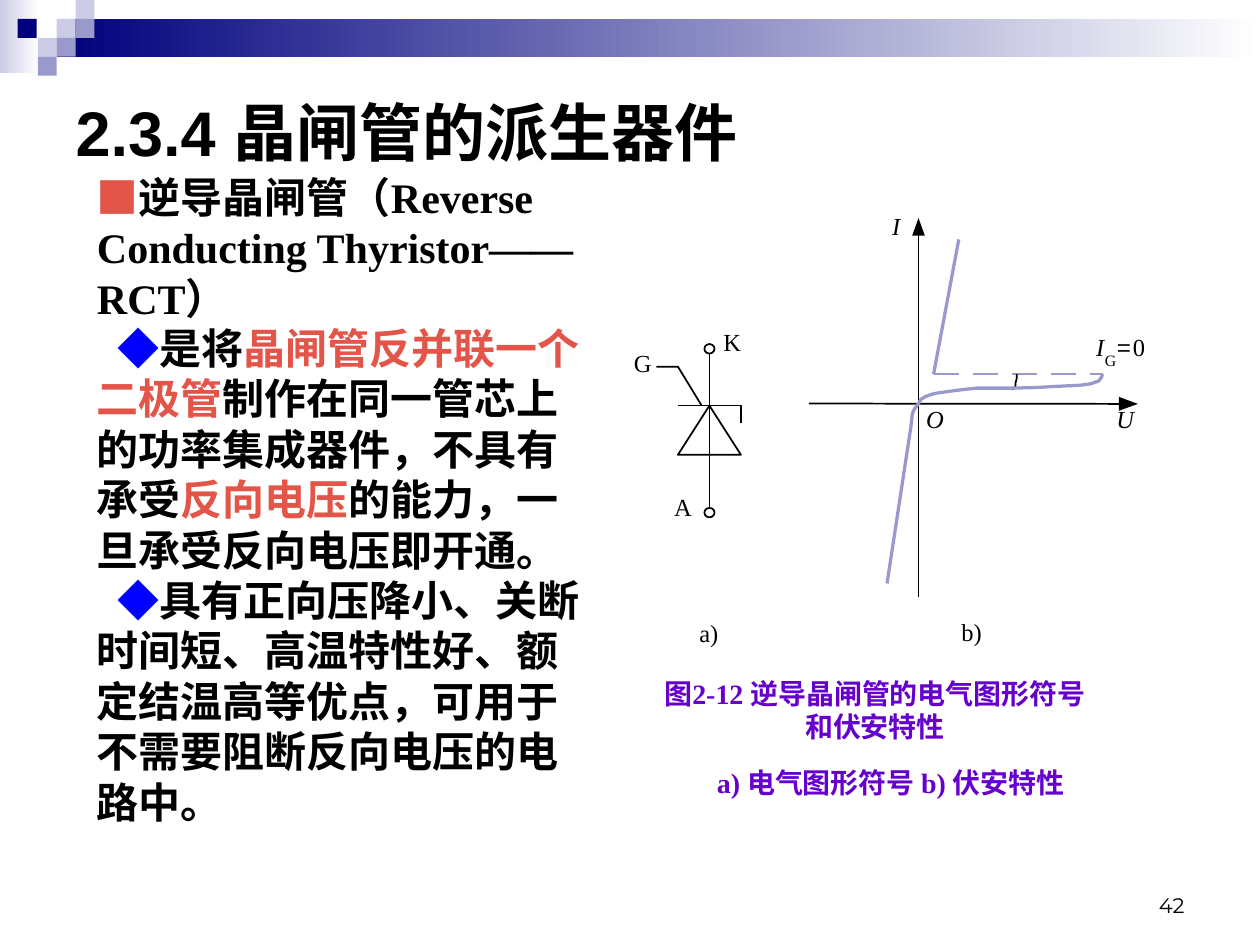
import pptx
import pptx.dml.color
import pptx.enum.shapes
import pptx.enum.text
import pptx.oxml.ns
import pptx.util

Pt = pptx.util.Pt
RGB = pptx.dml.color.RGBColor
SHAPE = pptx.enum.shapes.MSO_SHAPE
ALIGN = pptx.enum.text.PP_ALIGN
ANCHOR = pptx.enum.text.MSO_ANCHOR

BLACK = RGB(0, 0, 0)
WHITE = RGB(255, 255, 255)
NAVY = RGB(0, 0, 0x7D)
LILAC = RGB(0xCC, 0xCC, 0xE6)
PERIWINKLE = RGB(0x99, 0x99, 0xCC)
RED = RGB(0xE3, 0x54, 0x49)
BLUE = RGB(0, 0, 255)
PURPLE = RGB(0x66, 0, 0xCC)
SERIF, CJK = "Times New Roman", "Noto Sans CJK SC"

# left, top, width, height, left colour, right colour
BANDS = [(0, 0, 22.3, 41.8, LILAC, WHITE), (32.4, 10.8, 687.6, 21.6, NAVY, WHITE)]
TILE = 10.8
TILES = [(32.4, 10.8, LILAC), (43.2, 0, LILAC), (43.2, 10.8, PERIWINKLE),
         (21.6, 21.6, LILAC), (10.1, 10.8, NAVY), (32.4, 21.6, PERIWINKLE),
         (21.6, 32.4, PERIWINKLE)]

BODY = [
    (0, [("■", RED), ("逆导晶闸管（Reverse Conducting Thyristor——RCT）", BLACK)]),
    (12, [("◆", BLUE), ("是将", BLACK), ("晶闸管反并联一个二极管", RED),
          ("制作在同一管芯上的功率集成器件，不具有承受", BLACK), ("反向电压", RED),
          ("的能力，一旦承受反向电压即开通。", BLACK)]),
    (12, [("◆", BLUE),
          ("具有正向压降小、关断时间短、高温特性好、额定结温高等优点，"
           "可用于不需要阻断反向电压的电路中。", BLACK)]),
]
# text, space before, left margin
CAPTION = [("图2-12 逆导晶闸管的电气图形符号", 0, 0), ("和伏安特性", 0, 0),
           ("a) 电气图形符号 b) 伏安特性", 12.5, 18)]

# text, left, top, changes to the label font
ITALIC = {"italic": True}
LABELS = [("a)", 399.6, 355, {}), ("b)", 549.4, 354.2, {}), ("K", 413.3, 188.6, {}),
          ("G", 362.2, 200.9, {}), ("A", 385.2, 283, {}),
          ("U", 637.9, 232.6, ITALIC), ("O", 529.2, 232.6, ITALIC),
          ("I", 509.8, 122.4, ITALIC), ("I", 626.4, 191.5, ITALIC),
          ("G", 631.4, 201.6, {"size": Pt(9)}), ("=", 638.6, 192.2, {"name": CJK}),
          ("0", 647.3, 191.5, {})]

GATE = [(401, 231.8), (387.4, 209.5), (375.1, 209.5)]
CATHODE = [(423.4, 241.9), (423.4, 231.8), (387.4, 231.8)]
U_ARROW = [(639.4, 226.8), (650.2, 230.8), (639.4, 234.7)]
I_ARROW = [(521.3, 134.6), (524.9, 124.6), (528.5, 134.6)]
ARC = [(581, 213.8), (581, 216), (580.3, 218.9), (580.3, 220.3), (579.6, 221.8),
       (578.2, 222.5)]
CURVE = [(506.9, 333.4), (520.6, 243.4), (521.3, 236.9), (522, 234.7), (523.4, 232.6),
         (524.9, 230.4), (526.3, 228.2), (528.5, 226.8), (532.1, 225.4), (535.7, 224.6),
         (540.7, 223.9), (545.8, 223.2), (551.5, 222.5), (558, 221.8), (578.2, 221.8),
         (591, 221.5), (600.5, 221), (609.8, 220.5), (617, 220.2), (623.5, 219.3),
         (626.4, 218.2), (627.8, 217.8), (628.8, 216.4), (629.5, 215.5), (630, 213.8)]


def set_all(obj, values):
    for name, value in values.items():
        setattr(obj, name, value)


def place(sp, left, top, width, height):
    set_all(sp, {"left": Pt(left), "top": Pt(top), "width": Pt(width), "height": Pt(height)})


def style(sp, fill=None, line=None, weight=1):
    sp.shadow.inherit = False
    if fill is None:
        sp.fill.background()
    else:
        sp.fill.solid()
        sp.fill.fore_color.rgb = fill
    if line is None:
        sp.line.fill.background()
    else:
        sp.line.color.rgb = line
        sp.line.width = Pt(weight)


def add_preset(s, kind, left, top, width, height, **look):
    sp = s.shapes.add_shape(kind, Pt(left), Pt(top), Pt(width), Pt(height))
    style(sp, **look)
    return sp


def add_band(s, left, top, width, height, start, end):
    sp = add_preset(s, SHAPE.RECTANGLE, left, top, width, height)
    sp.fill.gradient()
    sp.fill.gradient_angle = 0
    for stop, position, color in zip(sp.fill.gradient_stops, (0, 1), (start, end)):
        stop.position = position
        stop.color.rgb = color


def add_path(s, points, close=False, **look):
    (x, y), *rest = [(Pt(x), Pt(y)) for x, y in points]
    builder = s.shapes.build_freeform(x, y)
    builder.add_line_segments(rest, close=close)
    style(builder.convert_to_shape(), **look)


def add_line(s, x1, y1, x2, y2, color=BLACK, weight=1):
    cxn = s.shapes.add_connector(pptx.enum.shapes.MSO_CONNECTOR.STRAIGHT,
                                 Pt(x1), Pt(y1), Pt(x2), Pt(y2))
    cxn.line.color.rgb = color
    cxn.line.width = Pt(weight)
    cxn._element.spPr.append(pptx.oxml.parse_xml(
        "<a:effectLst %s/>" % pptx.oxml.ns.nsdecls("a")))


def add_run(p, text, color, **font):
    r = p.add_run()
    r.text = text
    set_all(r.font, font)
    r.font.color.rgb = color
    ea = r._r.get_or_add_rPr().makeelement(pptx.oxml.ns.qn("a:ea"), {"typeface": CJK})
    r.font._element.find(pptx.oxml.ns.qn("a:latin")).addnext(ea)


def set_frame(tf, inset_x=7.2, inset_y=3.6, anchor=ANCHOR.TOP, wrap=True):
    set_all(tf, {"margin_left": Pt(inset_x), "margin_right": Pt(inset_x),
                 "margin_top": Pt(inset_y), "margin_bottom": Pt(inset_y),
                 "vertical_anchor": anchor, "word_wrap": wrap,
                 "auto_size": pptx.enum.text.MSO_AUTO_SIZE.NONE})


def set_indent(p, left=0, first=0, bullet=True):
    """Set the margins in points; bullet=False also switches the list mark off."""
    pPr = p._p.get_or_add_pPr()
    pPr.set("marL", str(Pt(left)))
    pPr.set("indent", str(Pt(first)))
    if not bullet:
        pPr.append(pPr.makeelement(pptx.oxml.ns.qn("a:buNone"), {}))


def add_text(s, left, top, width, height, **frame):
    tf = s.shapes.add_textbox(Pt(left), Pt(top), Pt(width), Pt(height)).text_frame
    set_frame(tf, **frame)
    return tf


def paragraphs(tf, items):
    """Pair each item with a paragraph of the frame, adding those that are missing."""
    for i, item in enumerate(items):
        yield (tf.add_paragraph() if i else tf.paragraphs[0]), item


def add_header(s):
    for band in BANDS:
        add_band(s, *band)
    for left, top, color in TILES:
        add_preset(s, SHAPE.RECTANGLE, left, top, TILE, TILE, fill=color)


def fill_title(sp):
    place(sp, 36, 46.1, 648, 58.3)
    set_frame(sp.text_frame, anchor=ANCHOR.MIDDLE)
    p = sp.text_frame.paragraphs[0]
    p.alignment = ALIGN.LEFT
    add_run(p, "2.3.4 晶闸管的派生器件", BLACK, name="Arial", size=Pt(36), bold=True)


def fill_body(sp):
    place(sp, 48.2, 94.3, 295.2, 381.6)
    set_frame(sp.text_frame)
    for p, (first, runs) in paragraphs(sp.text_frame, BODY):
        set_indent(p, first=first, bullet=False)
        p.space_before = Pt(0)
        for text, color in runs:
            add_run(p, text, color, name=SERIF, size=Pt(24), bold=True)


def add_symbol(s):
    x = 405.4
    add_preset(s, SHAPE.ISOSCELES_TRIANGLE, x - 18, 231.8, 36, 28.1, line=BLACK)
    add_line(s, x, 202.3, x, 290.2)
    for top in (196.6, 290.2):
        add_preset(s, SHAPE.OVAL, x - 2.9, top, 5.8, 5.4, line=BLACK)
    for points in (GATE, CATHODE):
        add_path(s, points, line=BLACK)


def add_characteristic(s):
    add_line(s, 462.2, 230.6, 640, 230.8)
    add_line(s, 524.9, 341.3, 524.9, 133.9)
    for points in (U_ARROW, I_ARROW):
        add_path(s, points, close=True, fill=BLACK)
    for i in range(5):
        x = 533.5 + 22.3 * i
        add_line(s, x, 213.8, min(x + 14.4, 630), 213.8, PERIWINKLE)
    add_line(s, 533.5, 213.8, 547.9, 136.8, PERIWINKLE, 1.87)
    add_path(s, ARC, line=BLACK)
    add_path(s, CURVE, line=PERIWINKLE, weight=1.87)


def add_labels(s):
    for text, left, top, changes in LABELS:
        p = add_text(s, left, top, 12, 15.1, inset_x=0, inset_y=0, wrap=False).paragraphs[0]
        p.line_spacing = 0.9
        add_run(p, text, BLACK, **{"name": SERIF, "size": Pt(14), **changes})


def add_caption(s):
    tf = add_text(s, 368.6, 383, 262.8, 79.2, inset_x=0)
    for p, (text, before, left) in paragraphs(tf, CAPTION):
        set_indent(p, left=left)
        set_all(p, {"alignment": ALIGN.CENTER, "space_before": Pt(before)})
        add_run(p, text, PURPLE, name=SERIF, size=Pt(16), bold=True)


def add_page_number(s):
    p = add_text(s, 516.2, 491.8, 167.8, 36, anchor=ANCHOR.BOTTOM).paragraphs[0]
    p.alignment = ALIGN.RIGHT
    add_run(p, "42", BLACK, name="Montserrat", size=Pt(12))


def main():
    prs = pptx.Presentation()
    set_all(prs, {"slide_width": Pt(720), "slide_height": Pt(540)})
    s = prs.slides.add_slide(prs.slide_layouts[1])
    add_header(s)
    fill_title(s.shapes.title)
    fill_body(s.placeholders[1])
    add_symbol(s)
    add_characteristic(s)
    add_labels(s)
    add_caption(s)
    add_page_number(s)
    prs.save("out.pptx")


if __name__ == "__main__":
    main()
